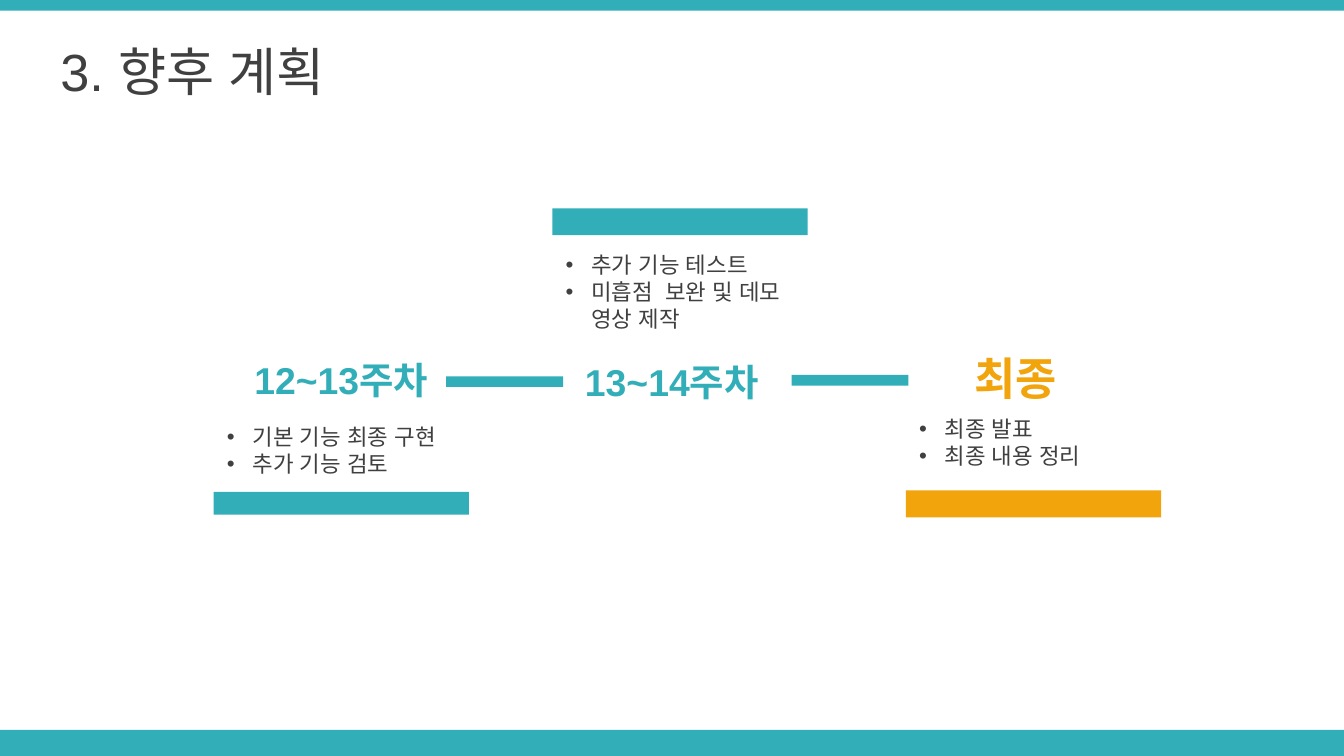
from dataclasses import dataclass

from lxml.etree import SubElement
from pptx import Presentation
from pptx.dml.color import RGBColor
from pptx.enum.shapes import MSO_SHAPE as Shape
from pptx.enum.text import MSO_ANCHOR as Anchor, MSO_AUTO_SIZE as AutoSize, PP_ALIGN as Align
from pptx.oxml.ns import qn
from pptx.util import Inches, Pt


@dataclass(frozen=True)
class Theme:
    font: str = "Arial"
    teal: str = "32AEB8"
    orange: str = "F2A40D"
    ink: str = "404040"
    title: int = 28
    final: int = 24
    week: int = 20
    body: int = 12


T = Theme()
WIDTH = 10
HEIGHT = WIDTH * 9 / 16
FOOTER_TOP = 5.43
STAGE_W = 1.9
INDENT = 0.19

TITLE = "3. 향후 계획"
# Positions are (left, top) or (left, top, width, height) in inches.
STAGES = [
    {"label": "12~13주차", "label_box": (1.72, 2.61, 1.64, 0.44), "size": T.week,
     "color": T.teal, "left": 1.59, "bar": (3.66, 0.17), "list": (3.1, 0.5),
     "items": ["기본 기능 최종 구현", "추가 기능 검토"]},
    {"label": "13~14주차", "label_box": (4.18, 2.62, 1.64, 0.44), "size": T.week,
     "color": T.teal, "left": 4.11, "bar": (1.55, 0.2), "list": (1.82, 0.91),
     "items": ["추가 기능 테스트", "미흡점  보완 및 데모 영상 제작"]},
    {"label": "최종", "label_box": (7.05, 2.56, 1.01, 0.5), "size": T.final,
     "color": T.orange, "left": 6.74, "bar": (3.65, 0.2), "list": (3.04, 0.5),
     "items": ["최종 발표", "최종 내용 정리"]},
]
LINKS = [(3.32, 2.8), (5.89, 2.79)]
LINK_SIZE = (0.87, 0.08)


def add_bar(s, box, color):
    sp = s.shapes.add_shape(Shape.RECTANGLE, *map(Inches, box))
    sp.shadow.inherit = False
    sp.fill.solid()
    sp.fill.fore_color.rgb = RGBColor.from_string(color)
    sp.line.fill.background()


def add_text(s, box, lines, size, color, bold=False, align=Align.LEFT):
    tf = s.shapes.add_textbox(*map(Inches, box)).text_frame
    tf.word_wrap = True
    tf.auto_size = AutoSize.NONE
    tf.text = "\n".join(lines)
    for p in tf.paragraphs:
        p.alignment = align
        for r in p.runs:
            r.font.name = T.font
            r.font.size = Pt(size)
            r.font.bold = bold
            r.font.color.rgb = RGBColor.from_string(color)
            for script in ("a:ea", "a:cs"):
                SubElement(r._r.get_or_add_rPr(), qn(script), typeface=T.font)
    return tf


def add_bullets(tf):
    for p in tf.paragraphs:
        pPr = p._p.get_or_add_pPr()
        pPr.set("marL", str(Inches(INDENT)))
        pPr.set("indent", str(-Inches(INDENT)))
        SubElement(pPr, qn("a:buFont"), typeface=T.font)
        SubElement(pPr, qn("a:buChar"), char="•")


def main():
    prs = Presentation()
    prs.slide_width, prs.slide_height = Inches(WIDTH), Inches(HEIGHT)
    s = prs.slides.add_slide(prs.slide_layouts[6])

    add_bar(s, (0, FOOTER_TOP, WIDTH, HEIGHT - FOOTER_TOP), T.teal)
    add_bar(s, (0, 0, WIDTH, 0.08), T.teal)
    tf = add_text(s, (0.35, 0.21, 8.98, 0.63), [TITLE], T.title, T.ink)
    tf.vertical_anchor = Anchor.MIDDLE

    for link in LINKS:
        add_bar(s, link + LINK_SIZE, T.teal)

    for stage in STAGES:
        left, color = stage["left"], stage["color"]
        bar_top, bar_h = stage["bar"]
        list_top, list_h = stage["list"]
        add_bar(s, (left, bar_top, STAGE_W, bar_h), color)
        add_bullets(add_text(s, (left, list_top, STAGE_W, list_h),
                             stage["items"], T.body, T.ink))
        add_text(s, stage["label_box"], [stage["label"]], stage["size"], color,
                 bold=True, align=Align.CENTER)

    prs.save("out.pptx")


if __name__ == "__main__":
    main()
